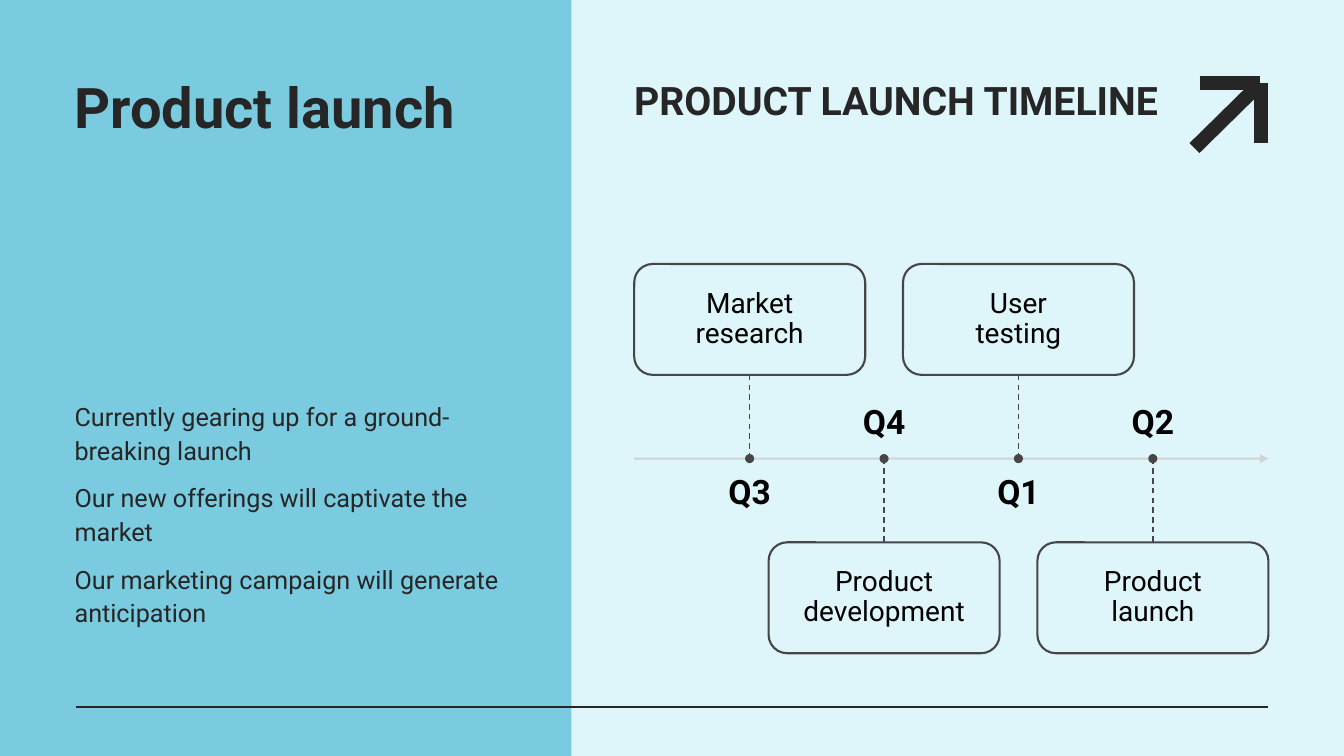
import dataclasses
import typing

import lxml.etree
import pptx
import pptx.dml.color
import pptx.enum.dml
import pptx.enum.shapes
import pptx.enum.text
import pptx.oxml.ns
import pptx.util

Pt = pptx.util.Pt
Align = pptx.enum.text.PP_ALIGN
Anchor = pptx.enum.text.MSO_ANCHOR
Shape = pptx.enum.shapes.MSO_SHAPE
qn = pptx.oxml.ns.qn

COLOURS = {
    "background": "DEF5FA",
    "panel": "7ACBE0",
    "ink": "262626",
    "outline": "464646",
    "axis": "CFCFCF",
    "label": "000000",
}
FONT = "Roboto"

AXIS_LEFT, AXIS_RIGHT, AXIS_Y = 453, 906, 327.6
CARD_WIDTH, CARD_HEIGHT = 165, 79.2
CARD_TOP_ABOVE, CARD_TOP_BELOW = 188.6, 387.4
LABEL_WIDTH, LABEL_HEIGHT, LABEL_GAP = 145, 35.3, 12
DOT_SIZE = 5


@dataclasses.dataclass
class Milestone:
    quarter: str
    task: str
    above: bool


@dataclasses.dataclass
class Line:
    start: tuple[float, float]
    end: tuple[float, float]
    colour: str
    width: float


@dataclasses.dataclass
class TextBlock:
    box: tuple[float, float, float, float]
    paragraphs: list[str]
    font: dict[str, typing.Any]
    colour: str
    layout: dict[str, typing.Any]
    anchor: typing.Any = Anchor.TOP


MILESTONES = [
    Milestone("Q3", "Market research", True),
    Milestone("Q4", "Product development", False),
    Milestone("Q1", "User\ntesting", True),
    Milestone("Q2", "Product launch", False),
]

FRAME_LINES = [
    Line((856.8, 59), (900, 59), "ink", 10),
    Line((900.7, 59), (900.7, 102.2), "ink", 10),
    Line((853.2, 105.8), (895.7, 64), "ink", 10),
    Line((54, 504.7), (906, 504.7), "ink", 1.5),
]

TEXT_BLOCKS = [
    TextBlock((53.3, 54.7, 309.6, 217.4), ["Product launch"],
              {"size": Pt(40), "bold": True}, "ink", {"line_spacing": Pt(45)}),
    TextBlock((453, 54.7, 378.7, 95), ["PRODUCT LAUNCH TIMELINE"],
              {"size": Pt(28), "bold": True}, "ink", {"space_before": Pt(10)}),
    TextBlock((53.3, 284.4, 309.6, 202.3),
              ["Currently gearing up for a ground-breaking launch",
               "Our new offerings will captivate the market",
               "Our marketing campaign will generate anticipation"],
              {"size": Pt(18)}, "ink",
              {"line_spacing": Pt(24), "space_before": Pt(10)}),
]
CENTRED = {"alignment": Align.CENTER, "line_spacing": 0.9}


def rgb(name: str) -> pptx.dml.color.RGBColor:
    return pptx.dml.color.RGBColor.from_string(COLOURS[name])


def set_attributes(target: typing.Any, values: dict[str, typing.Any]) -> None:
    for name, value in values.items():
        setattr(target, name, value)


def set_opacity(properties: typing.Any, percent: int) -> None:
    """Make the first solid colour among the shape properties translucent."""
    colour = next(properties.iter(qn("a:srgbClr")))
    lxml.etree.SubElement(colour, qn("a:alpha"), val=str(percent * 1000))


def write_text(shape: typing.Any, paragraphs: list[str], font: dict[str, typing.Any],
               colour: str, layout: dict[str, typing.Any], anchor: typing.Any,
               margin: float = 0) -> None:
    frame = shape.text_frame
    sides = ("left", "top", "right", "bottom")
    set_attributes(frame, {f"margin_{side}": Pt(margin) for side in sides})
    set_attributes(frame, {"word_wrap": True, "vertical_anchor": anchor})
    for index, text in enumerate(paragraphs):
        paragraph = frame.add_paragraph() if index else frame.paragraphs[0]
        set_attributes(paragraph, layout)
        for row, words in enumerate(text.split("\n")):
            if row:
                paragraph.add_line_break()
            run = paragraph.add_run()
            run.text = words
            set_attributes(run.font, {"name": FONT, **font})
            run.font.color.rgb = rgb(colour)


def add_text(slide: typing.Any, block: TextBlock) -> None:
    shape = slide.shapes.add_textbox(*map(Pt, block.box))
    write_text(shape, block.paragraphs, block.font, block.colour, block.layout, block.anchor)


def add_line(slide: typing.Any, line: Line) -> typing.Any:
    connector = slide.shapes.add_connector(
        pptx.enum.shapes.MSO_CONNECTOR.STRAIGHT, *map(Pt, (*line.start, *line.end)))
    connector.line.color.rgb = rgb(line.colour)
    connector.line.width = Pt(line.width)
    lxml.etree.SubElement(connector._element.spPr, qn("a:effectLst"))
    return connector


def add_filled(slide: typing.Any, kind: typing.Any, box: tuple[float, float, float, float],
               fill: str, outline: str | None = None) -> typing.Any:
    shape = slide.shapes.add_shape(kind, *map(Pt, box))
    shape.shadow.inherit = False
    shape.fill.solid()
    shape.fill.fore_color.rgb = rgb(fill)
    if outline:
        shape.line.color.rgb = rgb(outline)
        shape.line.width = Pt(1.5)
    else:
        shape.line.fill.background()
    return shape


def add_axis(slide: typing.Any) -> None:
    axis = add_line(slide, Line((AXIS_LEFT, AXIS_Y), (AXIS_RIGHT, AXIS_Y), "axis", 1.5))
    set_opacity(axis._element.spPr, 90)
    lxml.etree.SubElement(axis.line._get_or_add_ln(), qn("a:tailEnd"), type="triangle")


def add_milestone(slide: typing.Any, milestone: Milestone, left: float) -> None:
    """Draw the card, its quarter on the other side of the axis, and the link."""
    centre = left + CARD_WIDTH / 2
    card_top = CARD_TOP_ABOVE if milestone.above else CARD_TOP_BELOW
    label_top = AXIS_Y + LABEL_GAP if milestone.above else AXIS_Y - LABEL_GAP - LABEL_HEIGHT

    add_text(slide, TextBlock(
        (centre - LABEL_WIDTH / 2, label_top, LABEL_WIDTH, LABEL_HEIGHT),
        [milestone.quarter], {"size": Pt(24), "bold": True}, "label", CENTRED,
        Anchor.TOP if milestone.above else Anchor.BOTTOM))

    card = add_filled(slide, Shape.ROUNDED_RECTANGLE,
                      (left, card_top, CARD_WIDTH, CARD_HEIGHT), "background", "outline")
    set_opacity(card._element.spPr, 90)
    write_text(card, [milestone.task], {"size": Pt(20)}, "label", CENTRED,
               Anchor.MIDDLE, margin=13.7)

    link = add_line(slide, Line((centre, AXIS_Y), (centre, AXIS_Y), "outline", 1))
    link.line.dash_style = pptx.enum.dml.MSO_LINE.DASH
    if milestone.above:
        link.begin_connect(card, 2)
    else:
        link.end_connect(card, 0)
    add_filled(slide, Shape.OVAL,
               (centre - DOT_SIZE / 2, AXIS_Y - DOT_SIZE / 2, DOT_SIZE, DOT_SIZE),
               "outline", "outline")


def main() -> None:
    presentation = pptx.Presentation()
    set_attributes(presentation, {"slide_width": Pt(960), "slide_height": Pt(540)})
    slide = presentation.slides.add_slide(presentation.slide_layouts[6])
    slide.background.fill.solid()
    slide.background.fill.fore_color.rgb = rgb("background")

    add_filled(slide, Shape.RECTANGLE, (0, 0, 408.2, 540), "panel")
    for line in FRAME_LINES:
        add_line(slide, line)
    for block in TEXT_BLOCKS:
        add_text(slide, block)

    add_axis(slide)
    step = (AXIS_RIGHT - AXIS_LEFT - CARD_WIDTH) / (len(MILESTONES) - 1)
    for index, milestone in enumerate(MILESTONES):
        add_milestone(slide, milestone, AXIS_LEFT + index * step)
    presentation.save("out.pptx")


if __name__ == "__main__":
    main()
